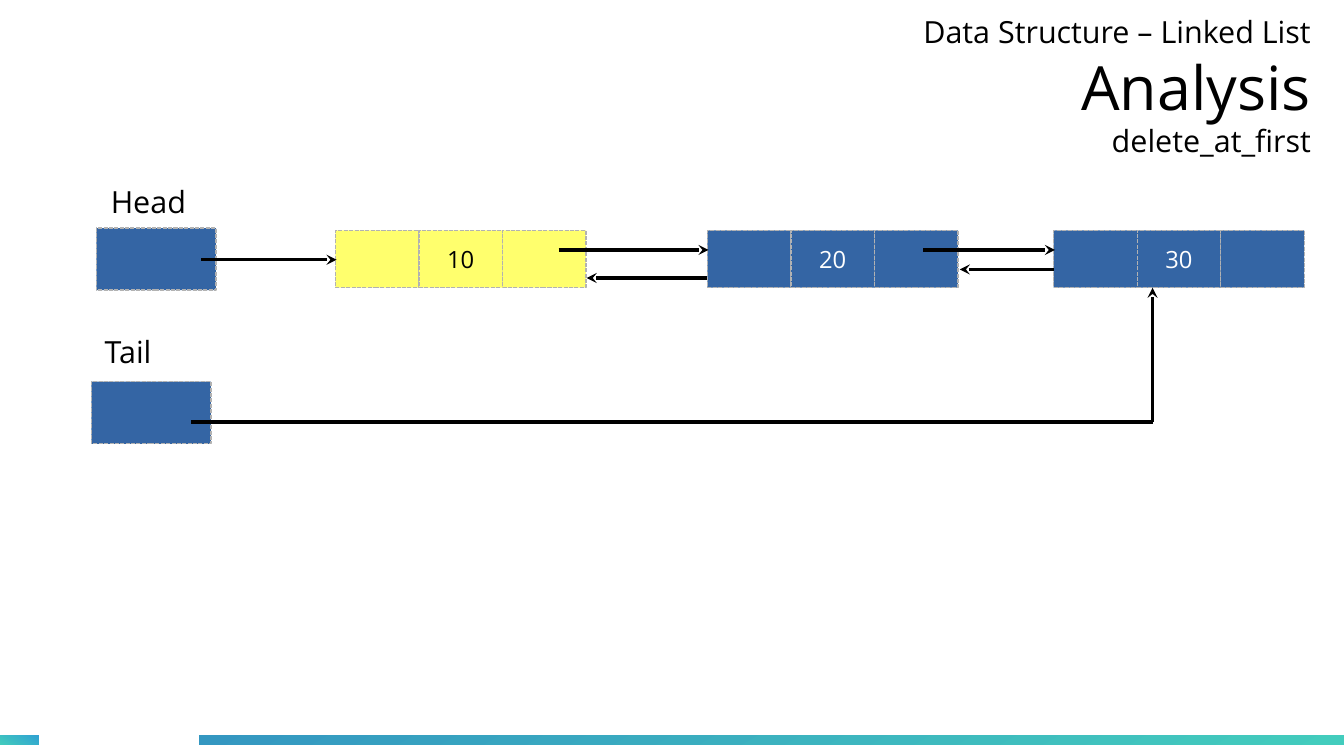
from pptx import Presentation
from pptx.dml.color import RGBColor
from pptx.enum.dml import MSO_LINE
from pptx.enum.shapes import MSO_CONNECTOR, MSO_SHAPE
from pptx.enum.text import MSO_ANCHOR, MSO_AUTO_SIZE, PP_ALIGN
from pptx.oxml.ns import qn
from pptx.util import Inches, Pt
from lxml.etree import SubElement

HUES = {"ink": "000000", "white": "FFFFFF", "blue": "3465A4", "yellow": "FFFF6D",
        "edge": "B2B2B2", "teal": "43CCBD", "sky": "30A2D2", "deep": "3497C1"}
RGB = {name: RGBColor.from_string(code) for name, code in HUES.items()}
FONT = "Open Sans"
WIDE, HIGH = 11.02, 6.2
COL, ROW, TOP = 0.685, 0.47, 1.89  # one cell of a node, and the row of nodes

deck = Presentation()
deck.slide_width, deck.slide_height = Inches(WIDE), Inches(HIGH)
slide = deck.slides.add_slide(deck.slide_layouts[5])
shapes = slide.shapes


def add_box(x, y, w, h):
    """Add a plain rectangle and return it for filling."""
    box = shapes.add_shape(MSO_SHAPE.RECTANGLE, *map(Inches, (x, y, w, h)))
    box.shadow.inherit = False
    return box


def style(run, size, hue="ink"):
    run.font.name, run.font.size = FONT, Pt(size)
    run.font.color.rgb = RGB[hue]


# Bars along the foot
for x, w, hues, angle in [(0, 0.32, ("teal", "sky"), 60),
                          (1.63, WIDE - 1.63, ("deep", "teal"), 300)]:
    bar = add_box(x, 6.03, w, 0.08)
    bar.line.fill.background()
    bar.fill.gradient()
    bar.fill.gradient_angle = angle
    for stop, hue in zip(bar.fill.gradient_stops, hues):
        stop.color.rgb = RGB[hue]

# Title: three lines in one paragraph
title = shapes.title
title.left, title.top, title.width, title.height = map(Inches, (7.29, -0.02, 3.46, 1.45))
frame = title.text_frame
frame.margin_left = frame.margin_right = frame.margin_top = frame.margin_bottom = 0
frame.vertical_anchor = MSO_ANCHOR.MIDDLE
frame.auto_size = MSO_AUTO_SIZE.NONE
para = frame.paragraphs[0]
para.text = "Data Structure – Linked List\vAnalysis\vdelete_at_first"
para.alignment = PP_ALIGN.RIGHT
for run, size in zip(para.runs, (18, 36, 18)):
    style(run, size)
for gap in para._p.findall(qn("a:br")):
    SubElement(gap, qn("a:rPr"), sz="1800")

# Pointer boxes and three-cell nodes
cells = [(0.79, 1.87, 0.98, 0.51, "blue", "", "white"),
         (0.75, 3.13, 0.98, 0.51, "blue", "", "white")]
nodes = [(2.75, "10", "yellow", "ink"), (5.8, "20", "blue", "white"),
         (8.64, "30", "blue", "white")]
for left, value, fill, ink in nodes:
    for col, text in enumerate(("", value, "")):
        cells.append((left + col * COL, TOP, COL, ROW, fill, text, ink))

for x, y, w, h, fill, text, ink in cells:
    cell = add_box(x, y, w, h)
    cell.fill.solid()
    cell.fill.fore_color.rgb = RGB[fill]
    cell.line.color.rgb = RGB["edge"]
    cell.line.width = Pt(0.79)
    cell.line.dash_style = MSO_LINE.SQUARE_DOT
    if text:
        frame = cell.text_frame
        frame.word_wrap = False
        frame.vertical_anchor = MSO_ANCHOR.MIDDLE
        frame.text = text
        frame.paragraphs[0].alignment = PP_ALIGN.CENTER
        style(frame.paragraphs[0].runs[0], 14, ink)

for text, x, y, w, h in [("Head", 0.81, 1.45, 1.08, 0.44), ("Tail", 0.76, 2.68, 0.81, 0.44)]:
    label = shapes.add_textbox(*map(Inches, (x, y, w, h)))
    label.text_frame.word_wrap = True
    label.text_frame.text = text
    style(label.text_frame.paragraphs[0].runs[0], 18)

# Links between boxes: start, end, arrowhead
links = [(1.65, 2.13, 2.76, 2.13, True),
         (4.58, 2.05, 5.81, 2.05, True),
         (5.8, 2.28, 4.81, 2.28, True),
         (7.57, 2.05, 8.65, 2.05, True),
         (8.64, 2.21, 7.87, 2.21, True),
         (1.57, 3.46, 9.45, 3.46, False),
         (9.45, 3.46, 9.45, TOP + ROW, True)]
for *ends, arrow in links:
    link = shapes.add_connector(MSO_CONNECTOR.STRAIGHT, *map(Inches, ends))
    link.line.color.rgb = RGB["ink"]
    link.line.width = 0
    if arrow:
        SubElement(link.line._get_or_add_ln(), qn("a:tailEnd"), type="stealth")
    SubElement(link._element.spPr, qn("a:effectLst"))

deck.save("out.pptx")
